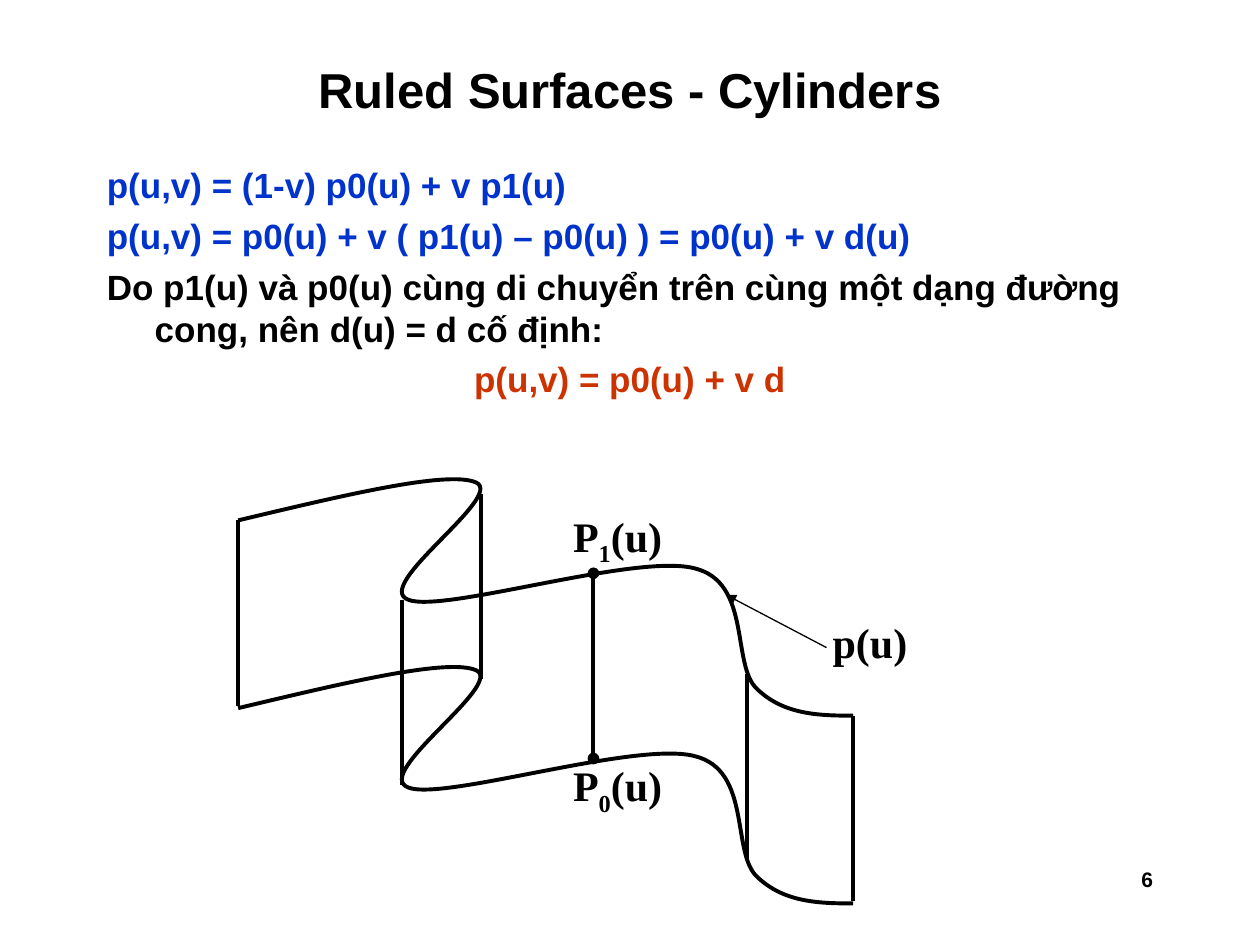
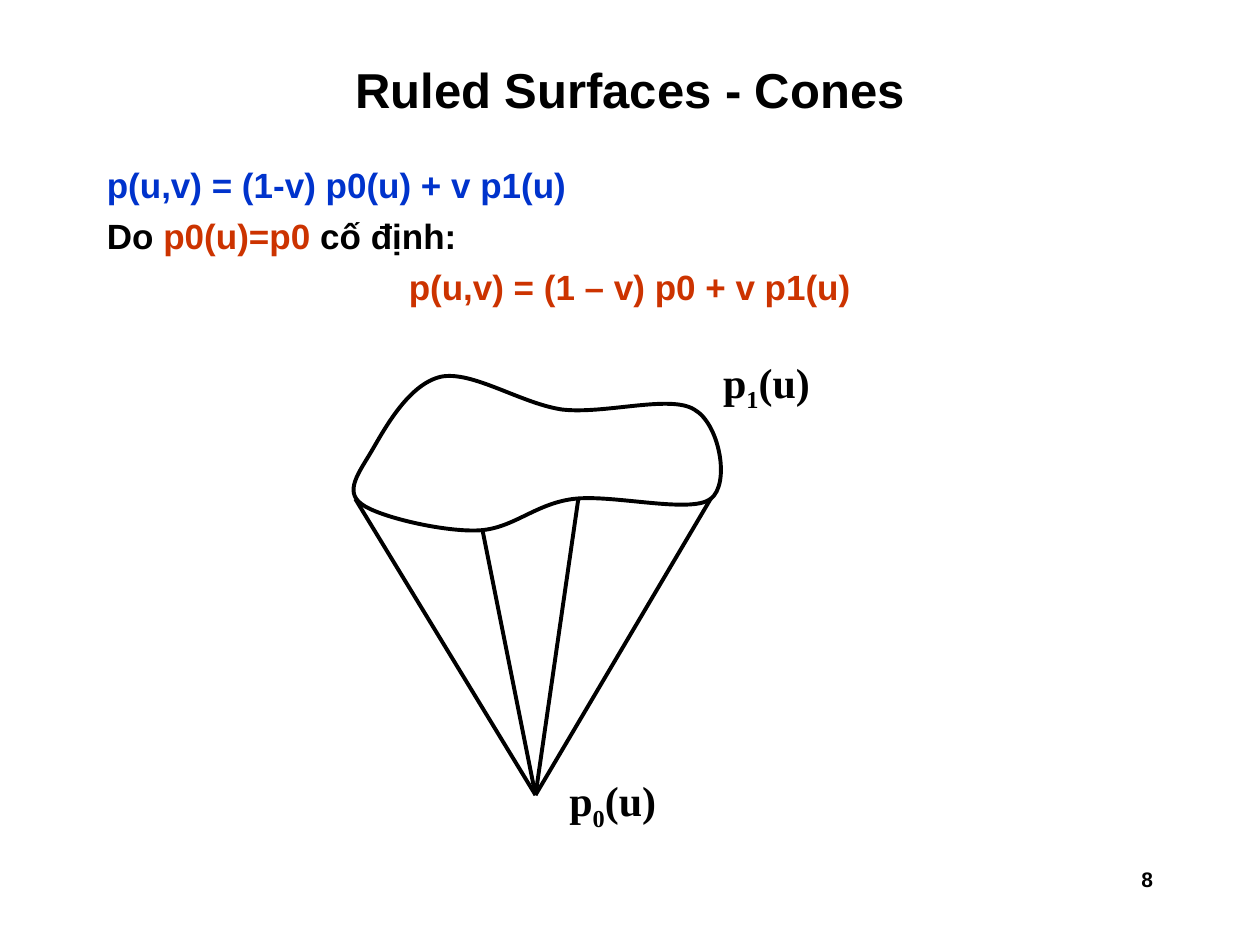
import pptx
import pptx.util
import pptx.dml.color
import pptx.enum.shapes
import pptx.enum.text
import pptx.oxml.ns
import pptx.oxml.xmlchemy

INK = {"black": "000000", "white": "FFFFFF", "blue": "0033CC", "red": "CC3300"}
HEAD, MATH = "Arial", "Times New Roman"
COLS, ROWS = 10, 7.5
SIDE = (0.75, 8.5)  # left edge and width of title and body
ALIGN = pptx.enum.text.PP_ALIGN
qn = pptx.oxml.ns.qn
make = pptx.oxml.xmlchemy.OxmlElement


def tint(name):
    return pptx.dml.color.RGBColor.from_string(INK[name])


def add(node, tag, **attrs):
    kid = make(tag)
    for key, val in attrs.items():
        kid.set(key, val)
    node.append(kid)


class Deck:
    """Draws on the current slide; lengths are columns and rows of the grid."""

    def __init__(self):
        self.show = pptx.Presentation()
        self.show.slide_width = pptx.util.Inches(10)
        self.show.slide_height = pptx.util.Inches(7.5)
        self.slide = None

    def x(self, cols):
        return round(self.show.slide_width * cols / COLS)

    def y(self, rows):
        return round(self.show.slide_height * rows / ROWS)

    def page(self, title, num):
        self.slide = self.show.slides.add_slide(self.show.slide_layouts[6])
        left, wide = SIDE
        frame = self.text(left, 0.33, wide, 0.75, [[(title, "black")]], 28,
                          align=ALIGN.CENTER)
        frame.vertical_anchor = pptx.enum.text.MSO_ANCHOR.MIDDLE
        self.text(7.17, 6.83, 2.08, 0.5, [[(num, "black")]], 12,
                  align=ALIGN.RIGHT)

    def text(self, left, top, wide, high, paras, size, font=HEAD,
             align=ALIGN.LEFT):
        """Add a box; each paragraph is a list of (words, colour) runs."""
        box = self.slide.shapes.add_textbox(
            self.x(left), self.y(top), self.x(wide), self.y(high))
        frame = box.text_frame
        frame.word_wrap = True
        for i, runs in enumerate(paras):
            para = frame.add_paragraph() if i else frame.paragraphs[0]
            para.alignment = align
            for words, hue in runs:
                run = para.add_run()
                run.text = words
                run.font.name = font
                run.font.size = pptx.util.Pt(size)
                run.font.bold = True
                run.font.color.rgb = tint(hue)
        return frame

    def body(self, high, paras):
        """Add hanging paragraphs, the last one centred as the result."""
        left, wide = SIDE
        frame = self.text(left, 1.25, wide, high, paras, 20)
        hang = self.x(0.38)
        for i, para in enumerate(frame.paragraphs):
            props = para._p.get_or_add_pPr()
            props.set("marL", str(hang))
            props.set("indent", str(-hang))
            if i:
                para.space_before = pptx.util.Pt(5)
        frame.paragraphs[-1].alignment = ALIGN.CENTER

    def label(self, left, top, name, sub=""):
        parts = [name, sub, "(u)"] if sub else [name + "(u)"]
        frame = self.text(left, top, 0.97, 0.56,
                          [[(part, "black") for part in parts]], 24, MATH)
        if sub:
            run = frame.paragraphs[0].runs[1]
            run._r.get_or_add_rPr().set("baseline", "-25000")

    def line(self, start, end, width=2.25, head=None, tail=None):
        kind = pptx.enum.shapes.MSO_CONNECTOR.STRAIGHT
        link = self.slide.shapes.add_connector(
            kind, self.x(start[0]), self.y(start[1]),
            self.x(end[0]), self.y(end[1]))
        self.pen(link, width)
        stroke = link.line._get_or_add_ln()
        for tag, tip in (("a:headEnd", head), ("a:tailEnd", tail)):
            if tip:
                add(stroke, tag, type=tip)
        add(link._element.spPr, "a:effectLst")

    def pen(self, shape, width=2.25):
        shape.line.color.rgb = tint("black")
        shape.line.width = pptx.util.Pt(width)

    def curve(self, dots, drop=0, fill=None):
        """Draw cubic curves: a start, then three control points for each."""
        spots = [(self.x(x), self.y(y + drop)) for x, y in dots]
        form = self.slide.shapes.build_freeform(*spots[0], scale=1.0)
        form.add_line_segments(spots[1:], close=bool(fill))
        shape = form.convert_to_shape()
        shape.shadow.inherit = False
        if fill:
            shape.fill.solid()
            shape.fill.fore_color.rgb = tint(fill)
        else:
            shape.fill.background()
        self.pen(shape)
        legs = list(shape._element.iter(qn("a:lnTo")))
        for i in range(0, len(legs), 3):
            bend = make("a:cubicBezTo")
            legs[i].addprevious(bend)
            for leg in legs[i:i + 3]:
                bend.append(leg[0])
                leg.getparent().remove(leg)


RULE = [("p(u,v) = (1-v) p0(u) + v p1(u)", "blue")]
WAVE = [(1.89, 4.13), (2.73, 3.93), (3.56, 3.73), (3.78, 3.83),
        (4.01, 3.94), (2.95, 4.65), (3.24, 4.76),
        (3.52, 4.87), (5.04, 4.39), (5.51, 4.51),
        (5.97, 4.62), (5.8, 5.28), (6.01, 5.47),
        (6.22, 5.67), (6.49, 5.68), (6.77, 5.68)]
RIM = [(2.95, 3.58), (3.05, 3.41), (3.24, 3.05), (3.5, 2.99),
       (3.75, 2.94), (4.13, 3.2), (4.46, 3.25),
       (4.8, 3.29), (5.32, 3.13), (5.51, 3.25),
       (5.71, 3.36), (5.8, 3.84), (5.64, 3.96),
       (5.48, 4.08), (4.86, 3.92), (4.55, 3.96),
       (4.24, 4), (4.07, 4.2), (3.79, 4.21),
       (3.51, 4.22), (3, 4.1), (2.87, 4),
       (2.73, 3.9), (2.85, 3.75), (2.95, 3.58)]


def tube(deck):
    deck.page("Ruled Surfaces - Cylinders", "6")
    deck.body(2.16, [
        RULE,
        [("p(u,v) = p0(u) + v ( p1(u) – p0(u) ) = p0(u) + v d(u)", "blue")],
        [("Do p1(u) và p0(u) cùng di chuyển trên cùng một dạng đường cong, "
          "nên d(u) = d cố định:", "black")],
        [("p(u,v) = p0(u) + v d", "red")]])
    for drop in (0, 1.49):
        deck.curve(WAVE, drop)
    edges = [(1.89, 4.13), (3.82, 3.92), (5.93, 5.35), (6.77, 5.68),
             (3.19, 4.76)]
    for x, y in edges:
        deck.line((x, y), (x, y + 1.47))
    deck.line((4.71, 4.55), (4.71, 6.02), head="oval", tail="oval")
    deck.line((6.56, 5.14), (5.76, 4.72), 0.75, tail="triangle")
    deck.label(6.51, 4.84, "p")
    deck.label(4.45, 4, "P", "1")
    deck.label(4.45, 5.98, "P", "0")


def cone(deck):
    deck.page("Ruled Surfaces - Cones", "8")
    deck.body(1.41, [
        RULE,
        [("Do ", "black"), ("p0(u)=p0", "red"), (" cố định:", "black")],
        [("p(u,v) = (1 – v) p0 + v p1(u)", "red")]])
    deck.curve(RIM, fill="white")
    for foot in [(2.82, 3.96), (3.83, 4.21), (4.59, 3.96), (5.64, 3.96)]:
        deck.line(foot, (4.25, 6.31))
    deck.label(5.64, 2.78, "p", "1")
    deck.label(4.42, 6.1, "p", "0")


def main():
    deck = Deck()
    tube(deck)
    cone(deck)
    deck.show.save("out.pptx")


if __name__ == "__main__":
    main()
